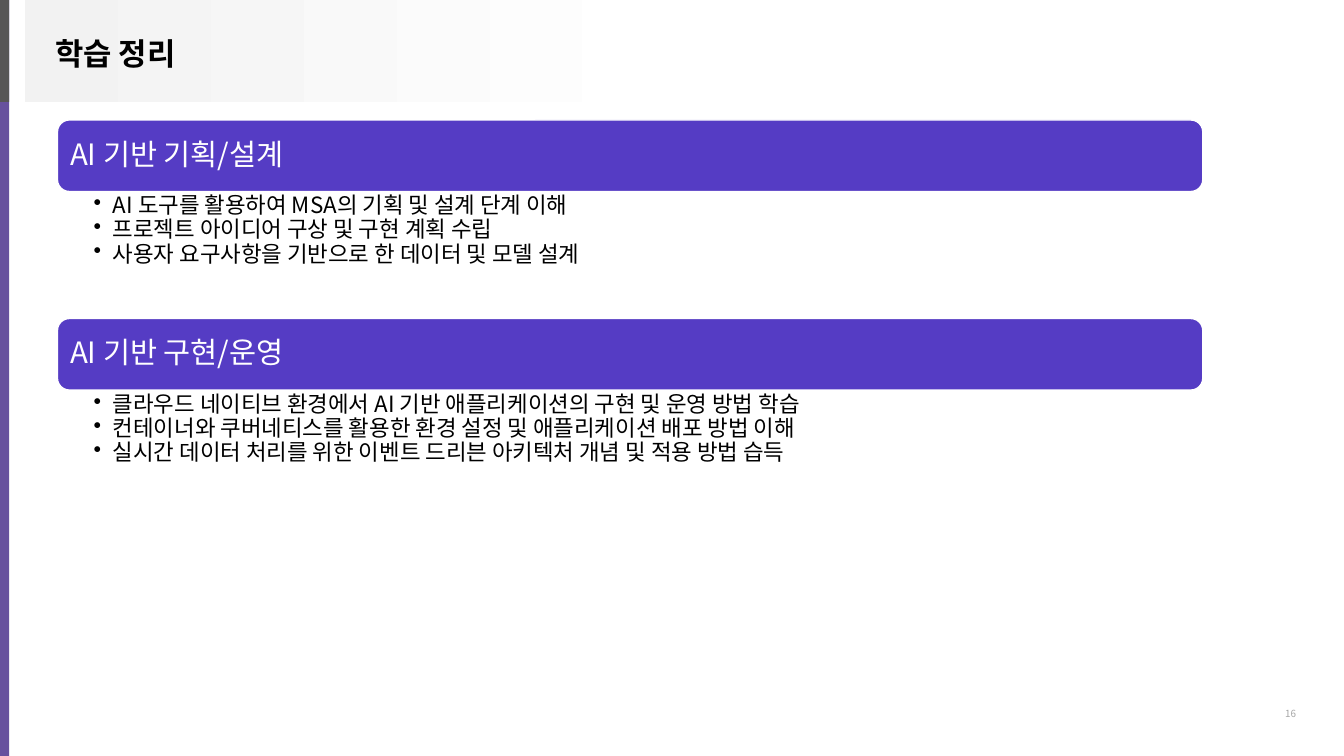
from pptx import Presentation
from pptx.dml.color import RGBColor
from pptx.enum.shapes import MSO_SHAPE
from pptx.enum.text import MSO_ANCHOR, PP_ALIGN
from pptx.oxml.ns import qn
from pptx.util import Inches, Pt
from lxml.etree import SubElement

FONT = "Noto Sans CJK KR"
COLORS = {"violet": "553CC4", "purple": "67519E", "dark": "575656",
          "pale": "F2F2F2", "white": "FFFFFF", "black": "000000", "gray": "A6A6A6"}
SECTIONS = [
    ("AI 기반 기획/설계", [
        "AI 도구를 활용하여 MSA의 기획 및 설계 단계 이해",
        "프로젝트 아이디어 구상 및 구현 계획 수립",
        "사용자 요구사항을 기반으로 한 데이터 및 모델 설계"]),
    ("AI 기반 구현/운영", [
        "클라우드 네이티브 환경에서 AI 기반 애플리케이션의 구현 및 운영 방법 학습",
        "컨테이너와 쿠버네티스를 활용한 환경 설정 및 애플리케이션 배포 방법 이해",
        "실시간 데이터 처리를 위한 이벤트 드리븐 아키텍처 개념 및 적용 방법 습득"]),
]
W, H = 13.33, 7.5
LEFT, WIDTH, TOP = 0.57, 11.36, 1.19
BAR_H, LIST_H = 0.71, 1.26
STRIPE_W, HEAD_H = 0.09, 1.01

prs = Presentation()
prs.slide_width, prs.slide_height = Inches(W), Inches(H)
s = prs.slides.add_slide(prs.slide_layouts[6])


def add_box(kind, x, y, w, h, color):
    sp = s.shapes.add_shape(kind, Inches(x), Inches(y), Inches(w), Inches(h))
    sp.shadow.inherit = False
    sp.fill.solid()
    sp.fill.fore_color.rgb = RGBColor.from_string(COLORS[color])
    sp.line.fill.background()
    return sp


def add_text(sp, lines, size, color, margins=(0.1, 0.05, 0.1, 0.05), bold=False,
             align=PP_ALIGN.LEFT, anchor=MSO_ANCHOR.TOP, spacing=1.0, bullet=False):
    tf = sp.text_frame
    tf.word_wrap = True
    tf.vertical_anchor = anchor
    tf.margin_left, tf.margin_top, tf.margin_right, tf.margin_bottom = map(Inches, margins)
    for i, line in enumerate(lines):
        p = tf.add_paragraph() if i else tf.paragraphs[0]
        p.alignment = align
        p.line_spacing = spacing
        if bullet:
            pPr = p._p.get_or_add_pPr()
            pPr.set("marL", str(Inches(0.19)))
            pPr.set("indent", str(-Inches(0.19)))
            SubElement(pPr, qn("a:buChar")).set("char", "•")
        r = p.add_run()
        r.text = line
        r.font.size, r.font.bold, r.font.name = Pt(size), bold, FONT
        r.font.color.rgb = RGBColor.from_string(COLORS[color])
        SubElement(r._r.get_or_add_rPr(), qn("a:ea")).set("typeface", FONT)


add_box(MSO_SHAPE.RECTANGLE, 0, 0, STRIPE_W, H, "purple")
add_box(MSO_SHAPE.RECTANGLE, 0, 0, STRIPE_W, HEAD_H, "dark")

header = add_box(MSO_SHAPE.RECTANGLE, 0.25, 0, 10.57, HEAD_H, "pale")
header.fill.gradient()
header.fill.gradient_angle = 180
for stop, (pos, color) in zip(header.fill.gradient_stops, [(0.39, "white"), (1, "pale")]):
    stop.position = pos
    stop.color.rgb = RGBColor.from_string(COLORS[color])

title = s.shapes.add_textbox(Inches(0.45), Inches(0.29), Inches(5.3), Inches(0.49))
add_text(title, ["학습 정리"], 22, "black", bold=True)

number = s.shapes.add_textbox(Inches(12.3), Inches(6.97), Inches(1), Inches(0.22))
add_text(number, ["16"], 7, "gray", align=PP_ALIGN.CENTER)

for i, (heading, points) in enumerate(SECTIONS):
    y = TOP + i * (BAR_H + LIST_H)
    bar = add_box(MSO_SHAPE.ROUNDED_RECTANGLE, LEFT, y, WIDTH, BAR_H, "violet")
    bar.line.color.rgb = RGBColor.from_string(COLORS["white"])
    bar.line.width = Pt(1)
    add_text(bar, [heading], 21, "white", margins=(0.09, 0.09, 0.09, 0.09),
             anchor=MSO_ANCHOR.MIDDLE, spacing=0.9)
    body = s.shapes.add_textbox(Inches(LEFT), Inches(y + BAR_H), Inches(WIDTH), Inches(LIST_H))
    add_text(body, points, 16, "black", margins=(0.36, 0.03, 0.16, 0.03),
             spacing=0.9, bullet=True)

prs.save("out.pptx")
